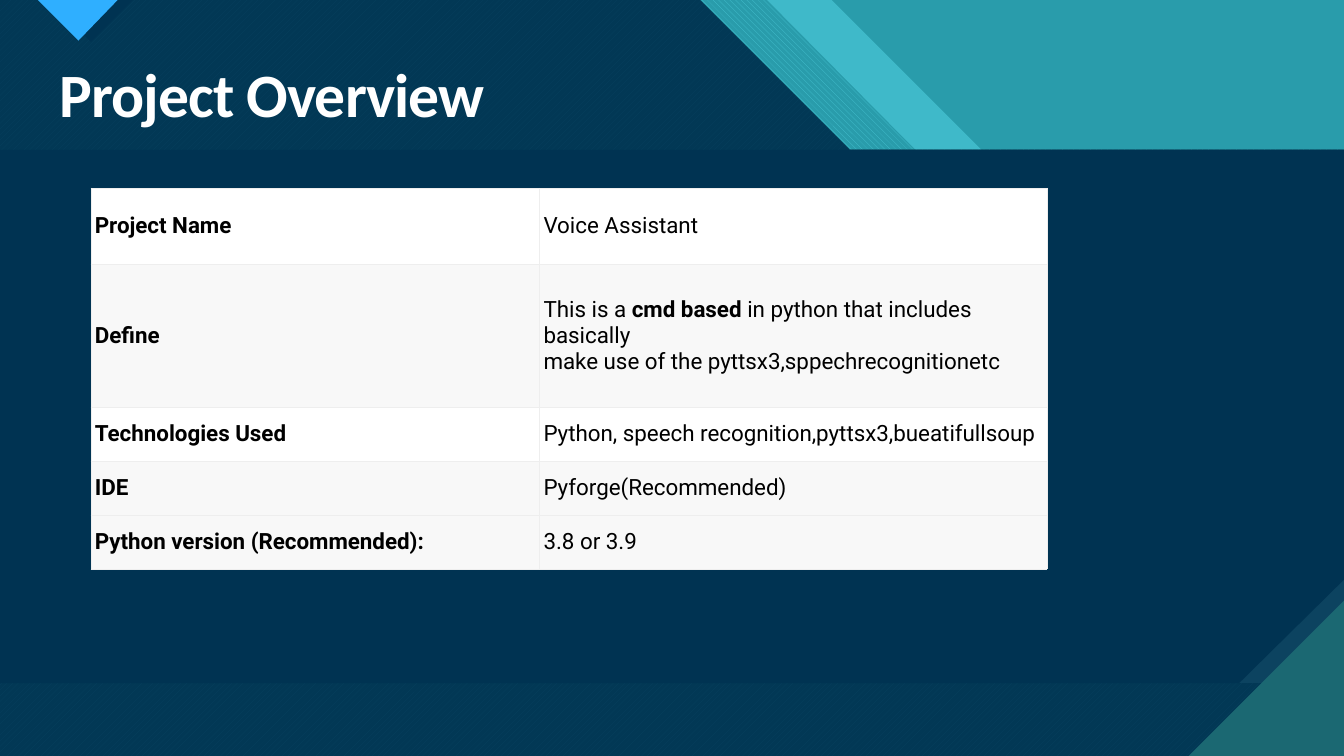
from lxml.etree import SubElement
from pptx import Presentation
from pptx.dml.color import RGBColor
from pptx.enum.dml import MSO_PATTERN
from pptx.enum.text import MSO_ANCHOR
from pptx.oxml.ns import qn
from pptx.util import Pt

WIDTH, HEIGHT = 960, 540
HEADER_BOTTOM, FOOTER_TOP = 107, 488.5
NAVY, DEEP_BLUE, SKY = "003352", "0C4360", "2FAFFF"
TEAL, DARK_TEAL, TURQUOISE, STRIPE = "299CAB", "1B6872", "47C3D3", "3FB9C9"
WHITE, BLACK, PALE, RULE = "FFFFFF", "000000", "F8F8F8", "EEEEEE"

COLUMN_WIDTHS = [320.5, 362.5]
# Label, lines of (text, bold) runs, row height, fill
OVERVIEW = [
    ("Project Name", [[("Voice Assistant", False)]], 54.25, WHITE),
    ("Define",
     [[("This is a ", False), ("cmd based ", True),
       ("in python that includes basically", False)],
      [("make use of the pyttsx3,sppechrecognitionetc", False)]], 102.25, PALE),
    ("Technologies Used",
     [[("Python, speech recognition,pyttsx3,bueatifullsoup", False)]], 38.5, WHITE),
    ("IDE", [[("Pyforge(Recommended)", False)]], 38.5, PALE),
    ("Python version (Recommended):", [[("3.8 or 3.9", False)]], 38.5, PALE),
]


def rgb(value):
    return RGBColor.from_string(value)


def add_outline(slide, points):
    builder = slide.shapes.build_freeform(*points[0], scale=Pt(1))
    builder.add_line_segments(points[1:], close=True)
    outline = builder.convert_to_shape()
    outline.shadow.inherit = False
    outline.line.fill.background()
    return outline


def add_solid(slide, points, color, opacity=100):
    solid = add_outline(slide, points)
    solid.fill.solid()
    solid.fill.fore_color.rgb = rgb(color)
    if opacity < 100:
        color_element = solid._element.spPr.find(qn("a:solidFill"))[0]
        SubElement(color_element, qn("a:alpha"), val=str(opacity * 1000))


def add_hatched(slide, points, pattern, front, back):
    hatched = add_outline(slide, points)
    hatched.fill.patterned()
    hatched.fill.pattern = pattern
    hatched.fill.fore_color.rgb = rgb(front)
    hatched.fill.back_color.rgb = rgb(back)


def box(left, top, right, bottom):
    return [(left, top), (right, top), (right, bottom), (left, bottom)]


def header_stripe(left, right):
    """Points of a 45-degree stripe that runs down through the header."""
    return [(left, 0), (right, 0),
            (right + HEADER_BOTTOM, HEADER_BOTTOM),
            (left + HEADER_BOTTOM, HEADER_BOTTOM)]


def notch(center, depth):
    return [(center - depth, 0), (center + depth, 0), (center, depth)]


def add_background(slide):
    add_solid(slide, box(0, 0, WIDTH, HEADER_BOTTOM), TEAL)
    add_hatched(slide, header_stripe(500, 547.5),
                MSO_PATTERN.WIDE_DOWNWARD_DIAGONAL, TURQUOISE, TEAL)
    add_solid(slide, header_stripe(547.5, 594), STRIPE)

    base = [(0, 0), (500, 0), (500 + HEADER_BOTTOM, HEADER_BOTTOM),
            (WIDTH, HEADER_BOTTOM), (WIDTH, HEIGHT), (0, HEIGHT)]
    add_hatched(slide, base, MSO_PATTERN.WIDE_UPWARD_DIAGONAL, TURQUOISE, DARK_TEAL)
    add_solid(slide, base, NAVY, opacity=90)

    add_solid(slide, notch(65, 30), NAVY)
    add_solid(slide, notch(55.5, 28.75), SKY)

    snip = 75
    add_solid(slide, box(0, HEADER_BOTTOM, WIDTH, FOOTER_TOP), DEEP_BLUE)
    add_solid(slide, [(0, HEADER_BOTTOM), (WIDTH, HEADER_BOTTOM),
                      (WIDTH, FOOTER_TOP - snip), (WIDTH - snip, FOOTER_TOP),
                      (0, FOOTER_TOP)], NAVY)
    corner = 111
    add_solid(slide, [(WIDTH - corner, HEIGHT), (WIDTH, HEIGHT),
                      (WIDTH, HEIGHT - corner)], DARK_TEAL)


def style_font(font, name, size, color):
    font.name = name
    font.size = Pt(size)
    font.color.rgb = rgb(color)


def add_title(slide, text):
    frame = slide.shapes.add_textbox(Pt(35.5), Pt(42.5), Pt(882.5), Pt(60)).text_frame
    frame.word_wrap = True
    title = frame.paragraphs[0]
    title.line_spacing = 0.9
    style_font(title.font, "Calibri", 44, WHITE)
    title.font.bold = True
    run = title.add_run()
    run.text = text
    run._r.get_or_add_rPr().set("spc", "-70")


def add_borders(cell):
    properties = cell._tc.get_or_add_tcPr()
    for position, side in enumerate(("lnL", "lnR", "lnT", "lnB")):
        border = SubElement(properties, qn(f"a:{side}"), w=str(Pt(0.5)))
        fill = SubElement(border, qn("a:solidFill"))
        SubElement(fill, qn("a:srgbClr"), val=RULE)
        properties.insert(position, border)


def fill_cell(cell, lines, color):
    cell.fill.solid()
    cell.fill.fore_color.rgb = rgb(color)
    cell.vertical_anchor = MSO_ANCHOR.MIDDLE
    cell.margin_left = cell.margin_right = Pt(2.75)
    cell.margin_top = cell.margin_bottom = Pt(2.75)
    add_borders(cell)
    paragraph = cell.text_frame.paragraphs[0]
    style_font(paragraph.font, "Roboto", 16, BLACK)
    for number, line in enumerate(lines):
        if number:
            paragraph.add_line_break()
        for text, bold in line:
            run = paragraph.add_run()
            run.text = text
            run.font.bold = bold


def add_overview_table(slide):
    height = sum(row[2] for row in OVERVIEW)
    table = slide.shapes.add_table(len(OVERVIEW), len(COLUMN_WIDTHS), Pt(65), Pt(134.5),
                                   Pt(sum(COLUMN_WIDTHS)), Pt(height)).table
    table.first_row = False
    table.horz_banding = False
    for column, width in zip(table.columns, COLUMN_WIDTHS):
        column.width = Pt(width)
    for index, (label, lines, row_height, color) in enumerate(OVERVIEW):
        table.rows[index].height = Pt(row_height)
        fill_cell(table.cell(index, 0), [[(label, True)]], color)
        fill_cell(table.cell(index, 1), lines, color)


def main():
    presentation = Presentation()
    presentation.slide_width = Pt(WIDTH)
    presentation.slide_height = Pt(HEIGHT)
    slide = presentation.slides.add_slide(presentation.slide_layouts[6])
    add_background(slide)
    add_title(slide, "Project Overview")
    add_overview_table(slide)
    presentation.save("out.pptx")


if __name__ == "__main__":
    main()
